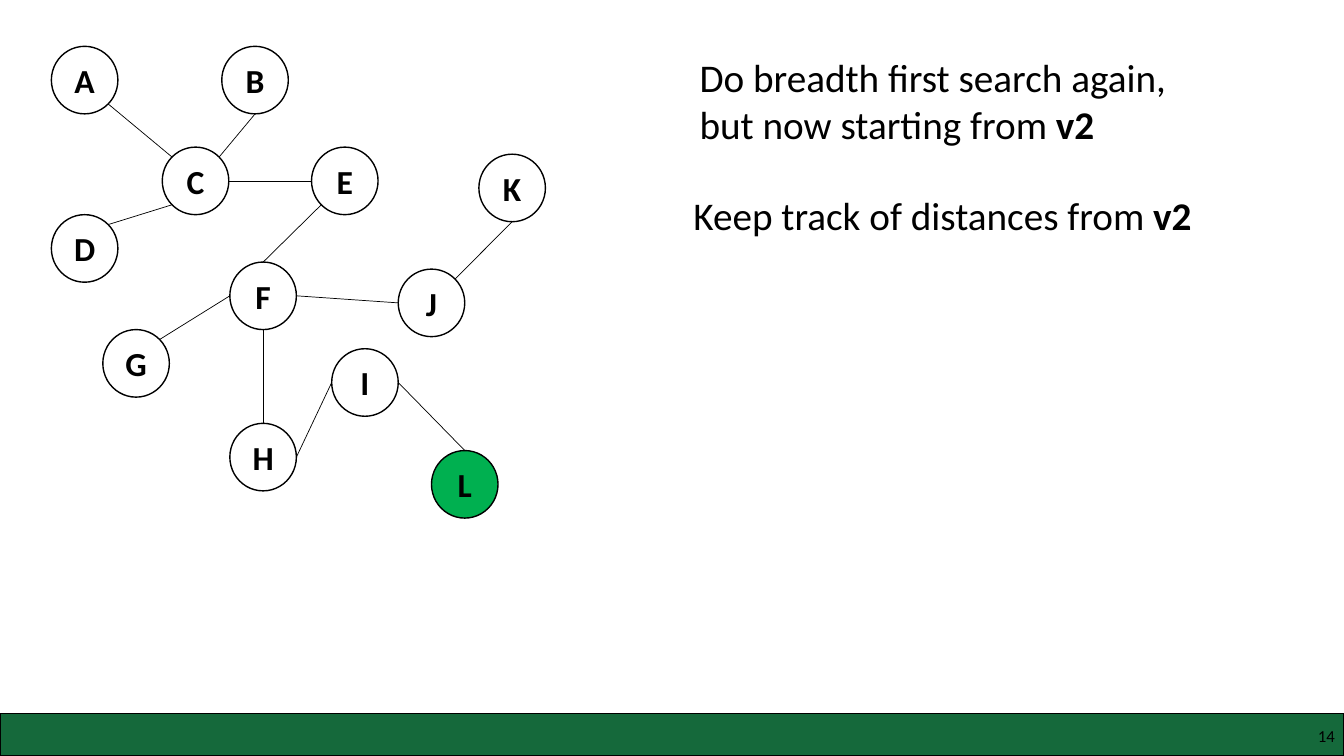
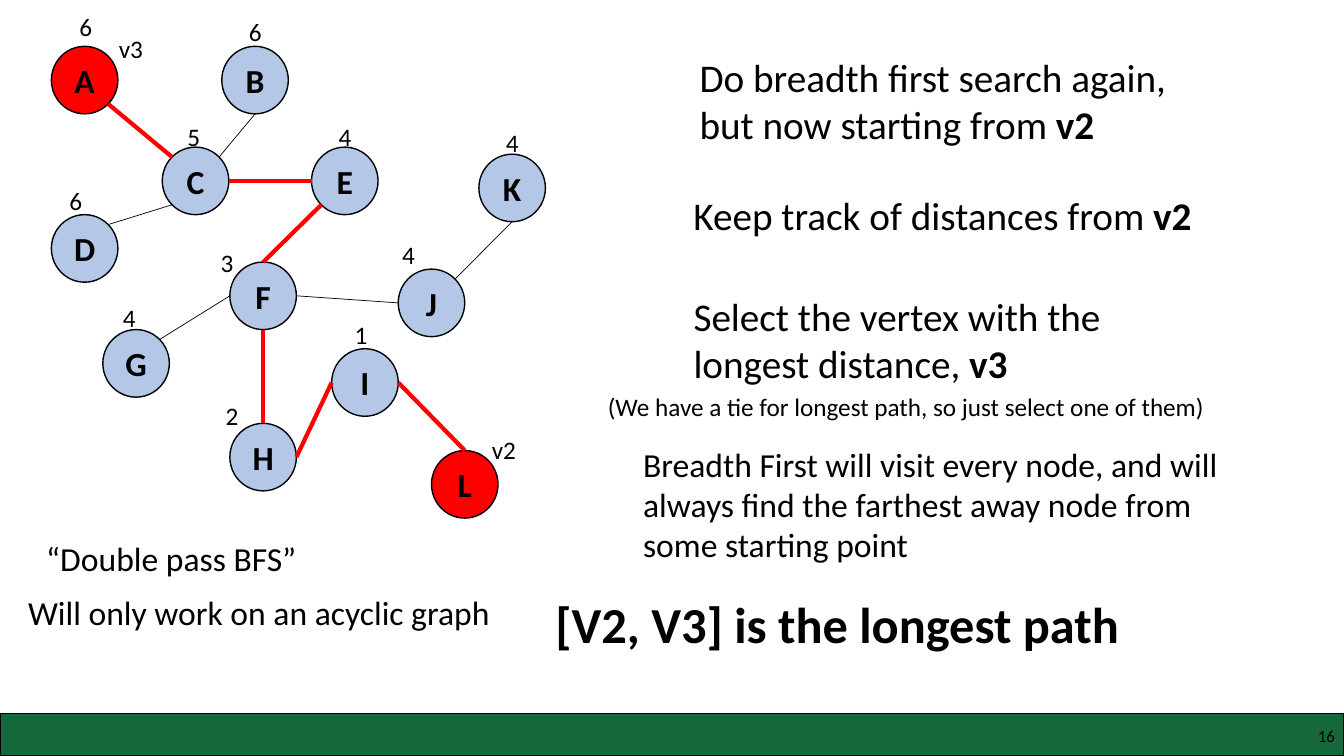
from math import cos, radians, sin

from pptx import Presentation
from pptx.dml.color import RGBColor
from pptx.enum.shapes import MSO_CONNECTOR, MSO_SHAPE
from pptx.enum.text import MSO_ANCHOR, MSO_AUTO_SIZE, PP_ALIGN
from pptx.oxml.ns import qn
from pptx.util import Inches, Pt

FONT = "Calibri"
BLACK = "000000"
WHITE = "FFFFFF"
BAND_GREEN = "15693B"
START_GREEN = "00B050"
VISITED_BLUE = "B4C7E7"
PATH_RED = "FF0000"

SLIDE_WIDTH, SLIDE_HEIGHT = 13.33, 7.5
BAND_TOP = 7.08
NODE_WIDTH, NODE_HEIGHT = 0.66, 0.67

NODES = {
    "A": (0.51, 0.46), "B": (2.2, 0.46), "C": (1.61, 1.46), "D": (0.51, 2.13),
    "E": (3.09, 1.46), "F": (2.28, 2.6), "G": (1.02, 3.27), "H": (2.28, 4.2),
    "I": (3.29, 3.46), "J": (3.95, 2.67), "K": (4.75, 1.53), "L": (4.28, 4.47),
}
ANGLES = {"E": 0, "SE": 45, "S": 90, "SW": 135, "W": 180, "NW": 225, "N": 270, "NE": 315}
EDGES = [
    ("A", "SE", "C", "NW"), ("C", "NE", "B", "S"), ("C", "SW", "D", "NE"),
    ("C", "E", "E", "W"), ("E", "SW", "F", "N"), ("F", "W", "G", "NE"),
    ("F", "S", "H", "N"), ("F", "E", "J", "W"), ("J", "NE", "K", "S"),
    ("H", "E", "I", "W"), ("I", "E", "L", "N"),
]
LONGEST_PATH = "ACEFHIL"
DISTANCES = [
    ("1", 3.42, 3.12), ("2", 2.14, 3.92), ("3", 2.09, 2.4), ("4", 1.12, 2.95),
    ("4", 3.89, 2.33), ("4", 3.26, 1.15), ("4", 4.92, 1.21), ("5", 1.76, 1.15),
    ("6", 0.59, 1.79), ("6", 0.69, 0.06), ("6", 2.37, 0.11),
]


def color(value):
    return RGBColor.from_string(value)


def style_font(font, size, bold=False):
    font.name = FONT
    font.size = Pt(size)
    font.bold = bold
    font.color.rgb = color(BLACK)


def add_filled_shape(page, kind, left, top, width, height, fill):
    shape = page.shapes.add_shape(
        kind, Inches(left), Inches(top), Inches(width), Inches(height))
    shape.shadow.inherit = False
    shape.fill.solid()
    shape.fill.fore_color.rgb = color(fill)
    shape.line.color.rgb = color(BLACK)
    shape.line.width = Pt(1)
    return shape


def add_text(page, left, top, width, height, size, plain="", bold="", wrap=False):
    box = page.shapes.add_textbox(
        Inches(left), Inches(top), Inches(width), Inches(height))
    frame = box.text_frame
    frame.word_wrap = wrap
    frame.auto_size = MSO_AUTO_SIZE.SHAPE_TO_FIT_TEXT
    for text, is_bold in ((plain, False), (bold, True)):
        if text:
            span = frame.paragraphs[0].add_run()
            span.text = text
            style_font(span.font, size, is_bold)
    return box


def add_footer(page, number):
    add_filled_shape(page, MSO_SHAPE.RECTANGLE, 0, BAND_TOP, SLIDE_WIDTH,
                     SLIDE_HEIGHT - BAND_TOP, BAND_GREEN)
    box = add_text(page, 10.17, 7.15, 3.07, 0.3, 12, number, wrap=True)
    frame = box.text_frame
    frame.margin_left = frame.margin_right = frame.margin_top = frame.margin_bottom = 0
    frame.vertical_anchor = MSO_ANCHOR.MIDDLE
    frame.paragraphs[0].alignment = PP_ALIGN.RIGHT


def add_node(page, name, fill):
    left, top = NODES[name]
    node = add_filled_shape(page, MSO_SHAPE.OVAL, left, top, NODE_WIDTH, NODE_HEIGHT, fill)
    frame = node.text_frame
    frame.text = name
    frame.vertical_anchor = MSO_ANCHOR.MIDDLE
    paragraph = frame.paragraphs[0]
    paragraph.alignment = PP_ALIGN.CENTER
    style_font(paragraph.runs[0].font, 24, True)


def rim_point(name, side):
    left, top = NODES[name]
    angle = radians(ANGLES[side])
    return (Inches(left + NODE_WIDTH / 2 * (1 + cos(angle))),
            Inches(top + NODE_HEIGHT / 2 * (1 + sin(angle))))


def add_edge(page, start, start_side, end, end_side, highlighted):
    edge = page.shapes.add_connector(
        MSO_CONNECTOR.STRAIGHT, *rim_point(start, start_side), *rim_point(end, end_side))
    edge.line.color.rgb = color(PATH_RED if highlighted else BLACK)
    edge.line.width = Pt(3 if highlighted else 0.5)
    properties = edge._element.spPr
    properties.append(properties.makeelement(qn("a:effectLst"), {}))


def add_graph(page, fill, special_fills, route=""):
    for name in NODES:
        add_node(page, name, special_fills.get(name, fill))
    steps = set(zip(route, route[1:]))
    for start, start_side, end, end_side in EDGES:
        add_edge(page, start, start_side, end, end_side, (start, end) in steps)


def add_search_page(deck, number, fill, special_fills, route=""):
    page = deck.slides.add_slide(deck.slide_layouts[6])
    add_footer(page, number)
    add_graph(page, fill, special_fills, route)
    add_text(page, 6.84, 0.48, 4.86, 1.04, 28,
             "Do breadth first search again, but now starting from ", "v2", wrap=True)
    add_text(page, 6.78, 1.85, 5.2, 0.57, 28, "Keep track of distances from ", "v2")
    return page


def add_result(page):
    for distance, left, top in DISTANCES:
        add_text(page, left, top, 0.33, 0.4, 18, distance)
    add_text(page, 4.78, 4.26, 0.44, 0.4, 18, "v2")
    add_text(page, 1.08, 0.28, 0.44, 0.4, 18, "v3")
    add_text(page, 6.78, 2.85, 5.11, 1.04, 28,
             "Select the vertex with the longest distance, ", "v3", wrap=True)
    add_text(page, 5.93, 3.83, 6.19, 0.4, 18,
             "(We have a tie for longest path, so just select one of them)")
    add_text(page, 6.28, 4.35, 6.19, 1.31, 24,
             "Breadth First will visit every node, and will always find the "
             "farthest away node from some starting point", wrap=True)
    add_text(page, 5.41, 5.83, 5.86, 0.71, 36, bold="[V2, V3] is the longest path")
    add_text(page, 0.36, 5.29, 2.7, 0.5, 24, "“Double pass BFS”")
    add_text(page, 0.18, 5.82, 4.82, 0.5, 24, "Will only work on an acyclic graph")


def main():
    deck = Presentation()
    deck.slide_width = Inches(SLIDE_WIDTH)
    deck.slide_height = Inches(SLIDE_HEIGHT)
    add_search_page(deck, "14", WHITE, {"L": START_GREEN})
    result_page = add_search_page(
        deck, "16", VISITED_BLUE, {"A": PATH_RED, "L": PATH_RED}, LONGEST_PATH)
    add_result(result_page)
    deck.save("out.pptx")


if __name__ == "__main__":
    main()
